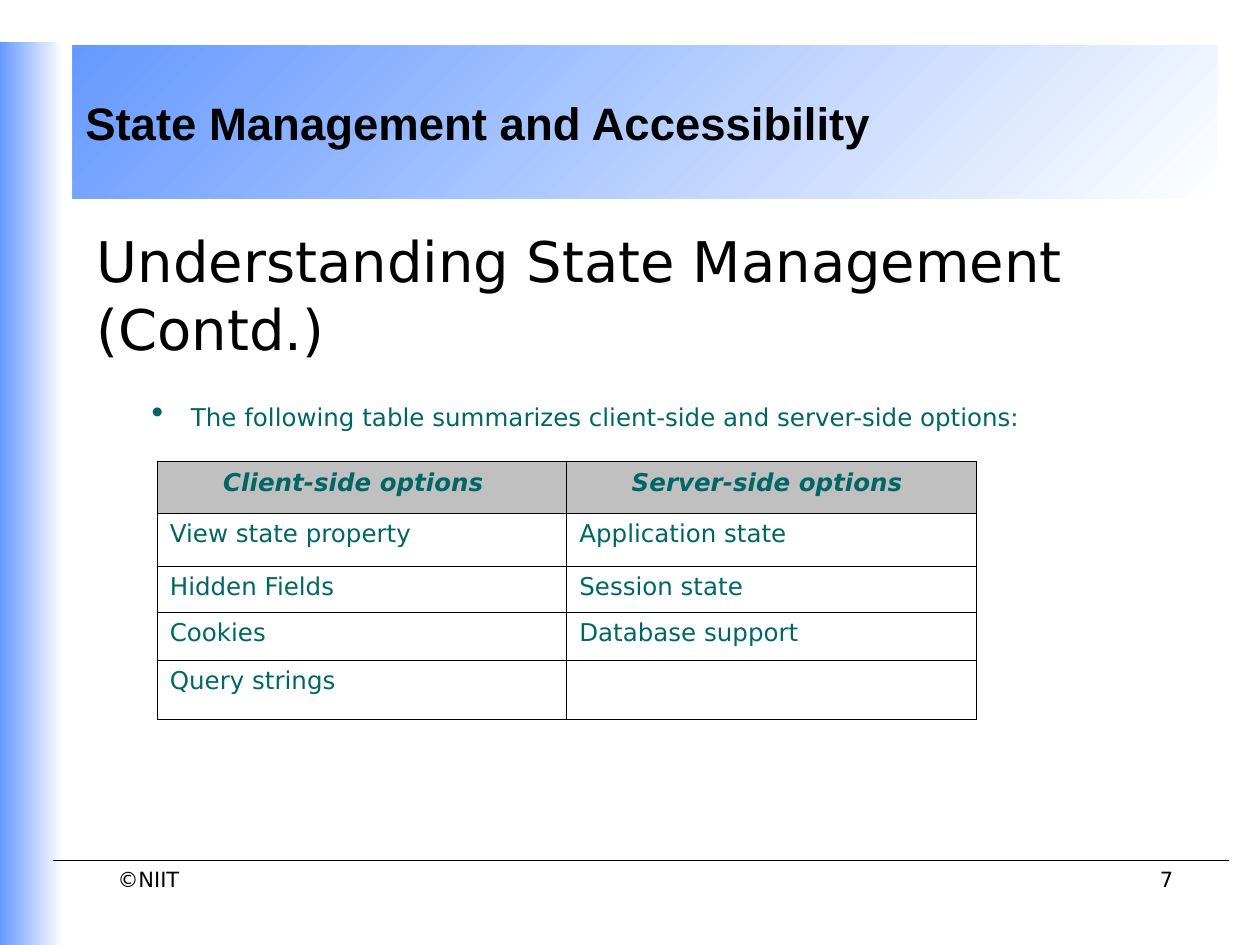
from dataclasses import dataclass

from lxml.etree import SubElement
from pptx import Presentation
from pptx.dml.color import RGBColor
from pptx.enum.shapes import MSO_CONNECTOR as Connector, MSO_SHAPE as Preset
from pptx.enum.text import MSO_ANCHOR as Anchor, PP_ALIGN as Align
from pptx.oxml.ns import qn
from pptx.util import Cm, Pt

COLORS = {
    "text": "000000",
    "accent": "006666",
    "header": "C0C0C0",
    "fade": "FFFFFF",
    "band": "6699FF",
}
SANS = "DejaVu Sans"
BODY = {"name": SANS, "size": Pt(14)}
HEADER = {**BODY, "bold": True, "italic": True}
FOOTER = {"name": SANS, "size": Pt(12)}


@dataclass(frozen=True)
class Box:
    left: float
    top: float
    width: float
    height: float

    def lengths(self) -> tuple:
        return Cm(self.left), Cm(self.top), Cm(self.width), Cm(self.height)


@dataclass(frozen=True)
class Band:
    box: Box
    angle: int
    title: str = ""


@dataclass(frozen=True)
class Footer:
    box: Box
    text: str
    align: Align


BANDS = [
    Band(Box(1.47, 0.91, 23.07, 3.1), 135, "State Management and Accessibility"),
    Band(Box(0, 0.84, 1.27, 18.21), 180),
]
FOOTERS = [
    Footer(Box(2.12, 17.35, 5.72, 1.07), "©NIIT", Align.LEFT),
    Footer(Box(17.35, 17.35, 6.55, 1.7), "7", Align.RIGHT),
]
OPTIONS = [
    ("Client-side options  ", "Server-side options "),
    ("View state property", "Application state "),
    ("Hidden Fields  ", "Session state "),
    ("Cookies", "Database support"),
    ("Query strings  ", ""),
]
ROW_HEIGHTS = [1.03, 1.08, 0.93, 0.97, 1.19]


def rgb(name: str) -> RGBColor:
    return RGBColor.from_string(COLORS[name])


def write(paragraph, text: str, font: dict, color: str = "text") -> None:
    paragraph.text = text
    for name, value in font.items():
        setattr(paragraph.font, name, value)
    paragraph.font.color.rgb = rgb(color)


def add_band(slide, band: Band) -> None:
    shape = slide.shapes.add_shape(Preset.RECTANGLE, *band.box.lengths())
    shape.shadow.inherit = False
    shape.line.fill.background()
    shape.fill.gradient()
    shape.fill.gradient_angle = band.angle
    for stop, color, position in zip(shape.fill.gradient_stops, ("fade", "band"), (0, 1)):
        stop.color.rgb = rgb(color)
        stop.position = position
    if band.title:
        frame = shape.text_frame
        frame.word_wrap = False
        frame.vertical_anchor = Anchor.MIDDLE
        paragraph = frame.paragraphs[0]
        write(paragraph, band.title, {"name": "Arial", "size": Pt(26), "bold": True})
        paragraph.alignment = Align.LEFT


def add_text_frame(slide, box: Box):
    frame = slide.shapes.add_textbox(*box.lengths()).text_frame
    frame.word_wrap = True
    return frame


def add_footer(slide, footer: Footer) -> None:
    paragraph = add_text_frame(slide, footer.box).paragraphs[0]
    write(paragraph, footer.text, FOOTER)
    paragraph.alignment = footer.align


def add_bullet(paragraph) -> None:
    properties = paragraph._p.get_or_add_pPr()
    properties.set("marL", str(Cm(1.9)))
    properties.set("indent", str(Cm(-0.79)))
    color = SubElement(properties, qn("a:buClr"))
    SubElement(color, qn("a:srgbClr"), val=COLORS["accent"])
    SubElement(properties, qn("a:buSzPct"), val="140000")
    SubElement(properties, qn("a:buChar"), char="•")


def add_body(slide) -> None:
    frame = add_text_frame(slide, Box(1.7, 4.45, 22.43, 12.5))
    write(frame.paragraphs[0], "Understanding State Management (Contd.)",
          {"name": SANS, "size": Pt(32)})
    paragraph = frame.add_paragraph()
    paragraph.space_before = Pt(23)
    add_bullet(paragraph)
    write(paragraph, "The following table summarizes client-side and server-side options:",
          BODY, "accent")


def add_rule(slide) -> None:
    line = slide.shapes.add_connector(
        Connector.STRAIGHT, Cm(1.06), Cm(17.35), Cm(24.77), Cm(17.35))
    line.line.color.rgb = rgb("text")
    line.line.width = Pt(0.75)
    SubElement(line._element.spPr, qn("a:effectLst"))


def set_borders(cell) -> None:
    """Draw all four edges; they must come before the fill in the cell properties."""
    properties = cell._tc.get_or_add_tcPr()
    for index, edge in enumerate(("lnL", "lnR", "lnT", "lnB")):
        line = SubElement(properties, qn(f"a:{edge}"), w=str(Pt(0.45)))
        fill = SubElement(line, qn("a:solidFill"))
        SubElement(fill, qn("a:srgbClr"), val=COLORS["text"])
        properties.insert(index, line)


def add_options_table(slide) -> None:
    box = Box(3.17, 9.31, 16.51, sum(ROW_HEIGHTS))
    table = slide.shapes.add_table(len(OPTIONS), 2, *box.lengths()).table
    for row, height, texts in zip(table.rows, ROW_HEIGHTS, OPTIONS):
        row.height = Cm(height)
        is_header = texts is OPTIONS[0]
        for cell, text in zip(row.cells, texts):
            paragraph = cell.text_frame.paragraphs[0]
            write(paragraph, text, HEADER if is_header else {**BODY, "bold": False}, "accent")
            paragraph.alignment = Align.CENTER if is_header else Align.LEFT
            if is_header:
                properties = paragraph._p.get_or_add_pPr()
                properties.set("marL", str(Cm(0.95)))
                properties.set("indent", str(Cm(-0.95)))
                cell.fill.solid()
                cell.fill.fore_color.rgb = rgb("header")
            else:
                cell.fill.background()
            set_borders(cell)


def main() -> None:
    presentation = Presentation()
    presentation.slide_width, presentation.slide_height = Cm(25.4), Cm(19.05)
    slide = presentation.slides.add_slide(presentation.slide_layouts[6])
    for band in BANDS:
        add_band(slide, band)
    add_body(slide)
    add_rule(slide)
    add_options_table(slide)
    for footer in FOOTERS:
        add_footer(slide, footer)
    presentation.save("out.pptx")


if __name__ == "__main__":
    main()
